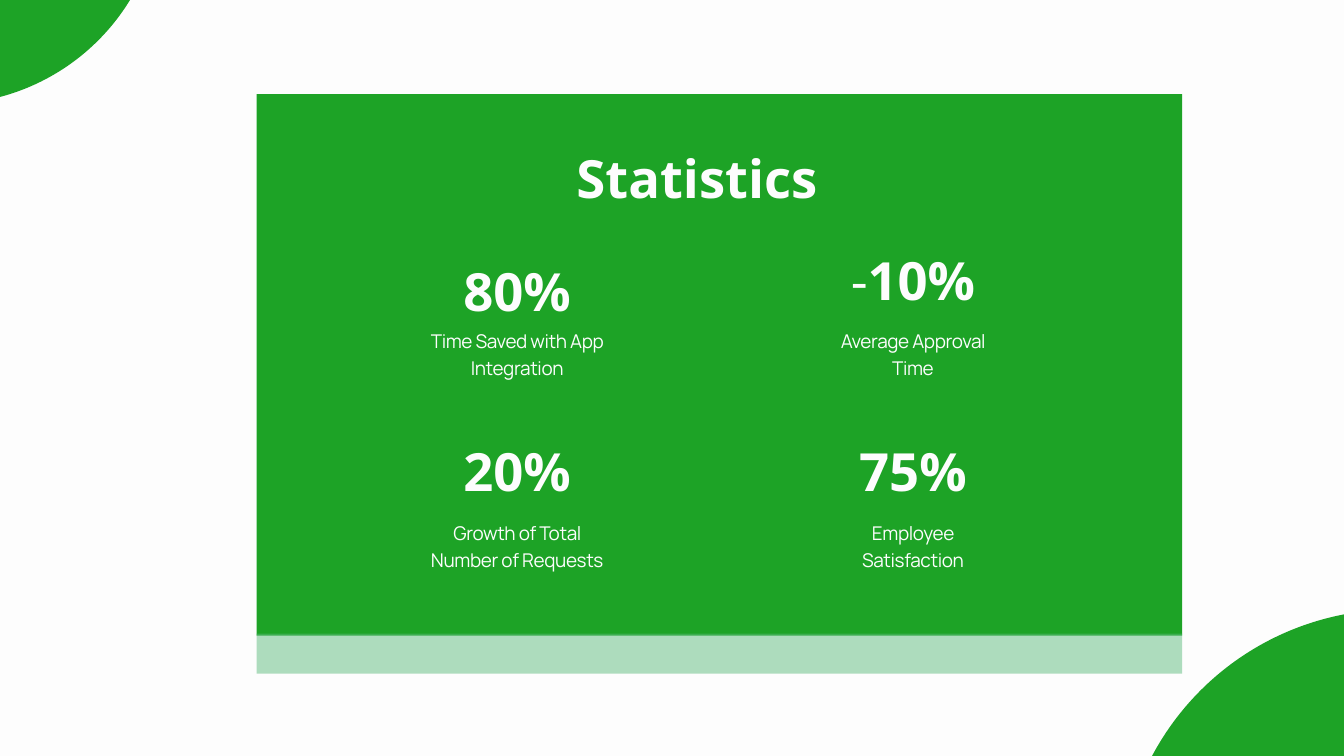
from lxml import etree
from pptx import Presentation
from pptx.dml.color import RGBColor
from pptx.enum.shapes import MSO_SHAPE
from pptx.enum.text import MSO_ANCHOR, MSO_AUTO_SIZE, PP_ALIGN
from pptx.oxml.ns import qn
from pptx.util import Cm, Pt

COLORS = {"background": "FDFDFD", "green": "14A01E", "mint": "5BBA7B", "text": "FDFDFD"}

PANEL = (9.7, 3.56, 34.98, 20.47)
STRIP = (9.7, 23.95, 34.98, 1.52)
CIRCLES = [(42.32, 23.04, 20.9), (-10.34, -12.52, 16.46)]

STATISTIC_WIDTH = 6.58
COLUMNS = (6.56, 21.52)
# Left, figure top, caption top, caption height (from the panel's corner), then the words
STATISTICS = [
    (COLUMNS[0], 5.84, 8.76, 1.98, ["80%"], "Time Saved with App Integration"),
    (COLUMNS[1], 5.41, 8.76, 1.98, ["-", "10%"], "Average Approval Time"),
    (COLUMNS[0], 12.65, 16.02, 2.95, ["20%"], "Growth of Total Number of Requests"),
    (COLUMNS[1], 12.65, 16.02, 1.98, ["75%"], "Employee Satisfaction"),
]


def add_plain_shape(slide, kind, box, color, opacity):
    """Add a borderless shape whose fill is partly transparent."""
    shape = slide.shapes.add_shape(kind, *map(Cm, box))
    shape.shadow.inherit = False
    shape.line.fill.background()
    shape.fill.solid()
    shape.fill.fore_color.rgb = RGBColor.from_string(COLORS[color])
    fill_color = shape.element.spPr.find(f"{qn('a:solidFill')}/{qn('a:srgbClr')}")
    etree.SubElement(fill_color, qn("a:alpha")).set("val", str(opacity * 1000))


def prepare_frame(shape):
    """Remove the insets and let the text wrap from the top."""
    frame = shape.text_frame
    frame.margin_left = frame.margin_right = frame.margin_top = frame.margin_bottom = 0
    frame.word_wrap = True
    frame.vertical_anchor = MSO_ANCHOR.TOP
    frame.auto_size = MSO_AUTO_SIZE.SHAPE_TO_FIT_TEXT
    return frame


def format_run(run, font_name, size, bold=False):
    run.font.name = font_name
    run.font.size = Pt(size)
    run.font.bold = bold
    run.font.color.rgb = RGBColor.from_string(COLORS["text"])


def format_paragraph(paragraph, alignment, line_spacing):
    paragraph.alignment = alignment
    paragraph.line_spacing = Pt(line_spacing)


def place_title(slide, box):
    title = slide.shapes.title
    title.left, title.top, title.width, title.height = map(Cm, box)
    title.element.getparent().append(title.element)  # bring in front of the panel
    frame = prepare_frame(title)
    frame.text = "Statistics"
    paragraph = frame.paragraphs[0]
    format_paragraph(paragraph, PP_ALIGN.LEFT, 79)
    paragraph.space_before = Pt(0)
    format_run(paragraph.runs[0], "Open Sans", 56.4, bold=True)


def add_figure(slide, box, parts):
    """Add a large percentage; a leading sign stays in regular weight."""
    frame = prepare_frame(slide.shapes.add_textbox(*map(Cm, box)))
    paragraph = frame.paragraphs[0]
    format_paragraph(paragraph, PP_ALIGN.CENTER, 79)
    for part in parts:
        run = paragraph.add_run()
        run.text = part
        format_run(run, "Open Sans", 56.4, bold=part != "-")


def add_caption(slide, box, text):
    frame = prepare_frame(slide.shapes.add_textbox(*map(Cm, box)))
    frame.text = text
    paragraph = frame.paragraphs[0]
    format_paragraph(paragraph, PP_ALIGN.CENTER, 28.4)
    run = paragraph.runs[0]
    format_run(run, "Manrope", 20.3)
    run.font._element.set("spc", "-40")


def add_statistics_panel(slide, box):
    left, top = box[:2]
    add_plain_shape(slide, MSO_SHAPE.RECTANGLE, box, "green", 96)
    place_title(slide, (left + 12.09, top + 1.57, 10.8, 2.72))
    for column, figure_top, caption_top, caption_height, figure, caption in STATISTICS:
        x = left + column
        add_caption(slide, (x, top + caption_top, STATISTIC_WIDTH, caption_height), caption)
        add_figure(slide, (x, top + figure_top, STATISTIC_WIDTH, 2.69), figure)


def add_corner_circles(slide):
    for left, top, diameter in CIRCLES:
        add_plain_shape(slide, MSO_SHAPE.OVAL, (left, top, diameter, diameter), "green", 96)


def main():
    presentation = Presentation()
    presentation.slide_width = Cm(50.8)
    presentation.slide_height = Cm(28.58)
    slide = presentation.slides.add_slide(presentation.slide_layouts.get_by_name("Title Only"))
    slide.background.fill.solid()
    slide.background.fill.fore_color.rgb = RGBColor.from_string(COLORS["background"])
    add_statistics_panel(slide, PANEL)
    add_plain_shape(slide, MSO_SHAPE.RECTANGLE, STRIP, "mint", 49)
    add_corner_circles(slide)
    presentation.save("out.pptx")


if __name__ == "__main__":
    main()
